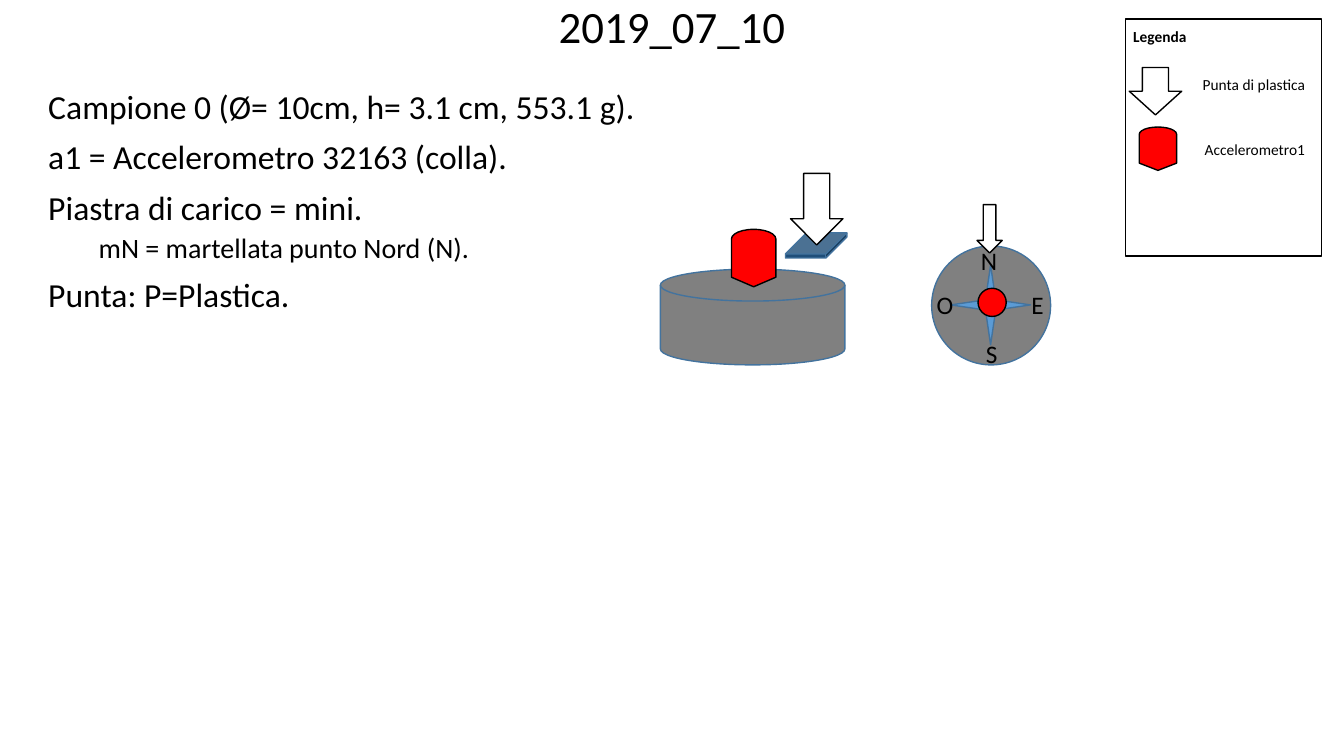
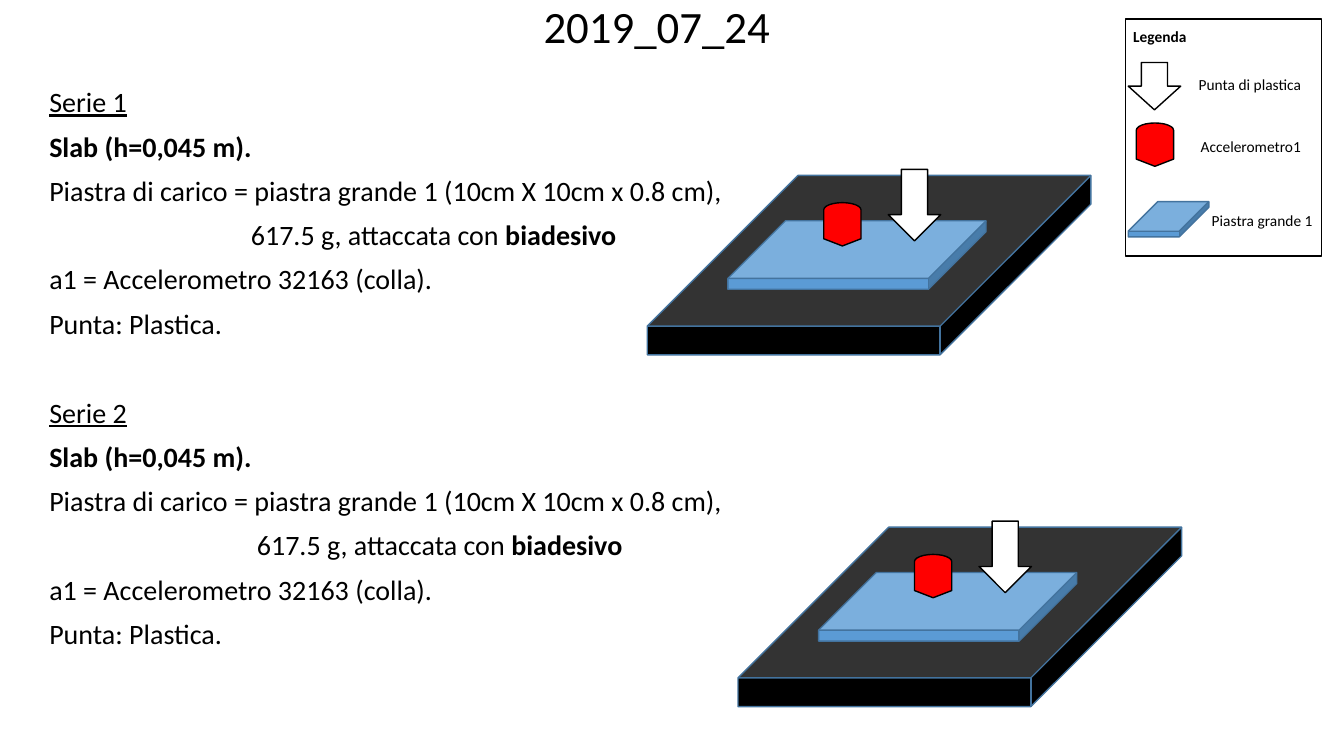
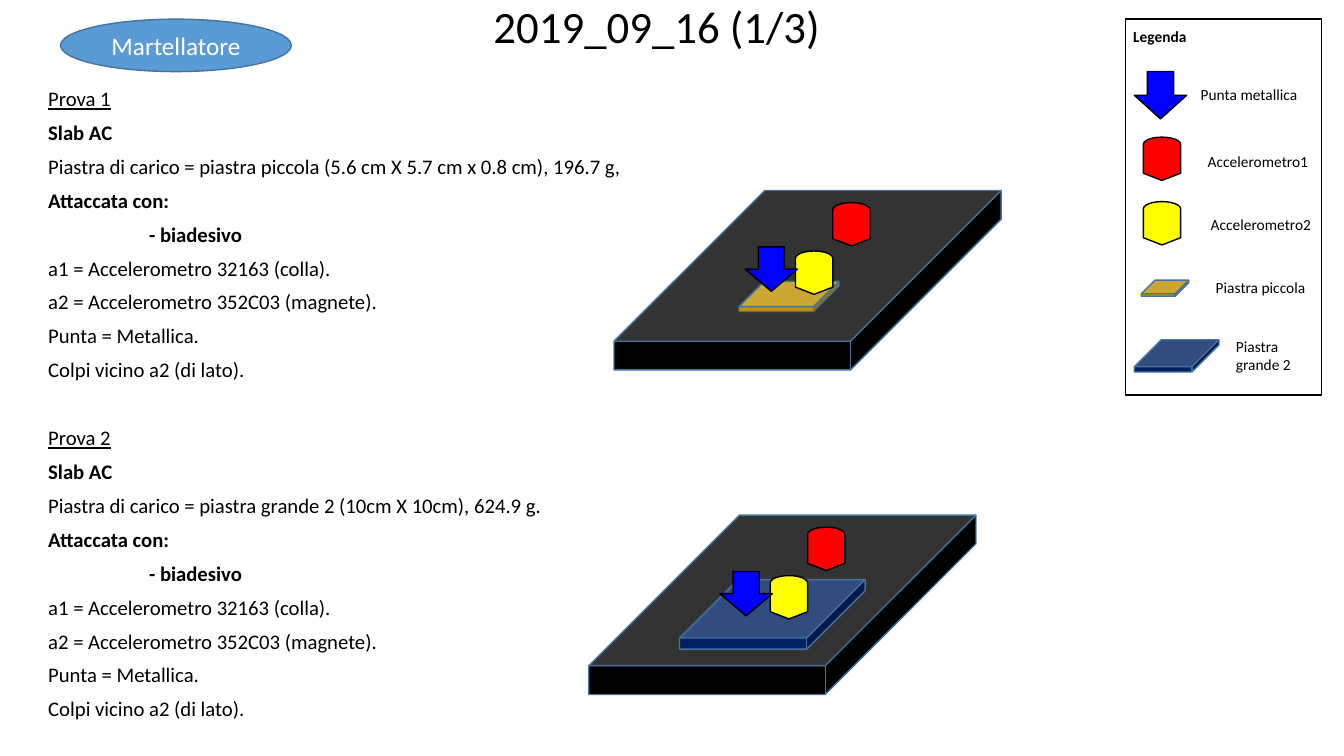
from pptx import Presentation
from pptx.dml.color import RGBColor
from pptx.enum import shapes, text
from pptx.util import Emu, Pt

PX = 9144
FONT = "Calibri"
HEX = dict(white="FFFFFF", black="000000", grey="808080", edge="43739E",
           sky="5B9BD5", steel="1F4E79", navy="002060", gold="BF9000",
           red="FF0000", yellow="FFFF00", blue="0000FF")
M = shapes.MSO_SHAPE
FORMS = dict(cube=(M.CUBE, "edge", 0.84, 0), arrow=(M.DOWN_ARROW, "black", None, 0),
             gauge=(M.FLOWCHART_DISPLAY, "black", None, 270),
             disk=(M.FLOWCHART_MAGNETIC_DISK, "edge", None, 0),
             oval=(M.OVAL, "edge", None, 0), star=(M.STAR_4_POINT, "edge", 0.091, 0),
             dot=(M.FLOWCHART_CONNECTOR, "black", None, 0),
             frame=(M.RECTANGLE, "black", None, 0))

SAMPLE = [("Campione 0 (Ø= 10cm, h= 3.1 cm, 553.1 g).", {}),
          ("a1 = Accelerometro 32163 (colla).", {}),
          ("Piastra di carico = mini.", {}),
          ("mN = martellata punto Nord (N).", dict(indent=50, before=5, size=20)),
          ("Punta: P=Plastica.", {})]

SERIES = [line for n, indent, gap in ((1, 200, 10), (2, 206, 42)) for line in (
    (f"Serie {n}", dict(under=True, before=gap)),
    ("Slab (h=0,045 m).", dict(bold=True)),
    ("Piastra di carico = piastra grande 1 (10cm X 10cm x 0.8 cm),", {}),
    ("617.5 g, attaccata con ", dict(tail="biadesivo", indent=indent)),
    ("a1 = Accelerometro 32163 (colla).", {}),
    ("Punta: Plastica.", {}))]

TESTS = [line for n, plate, gap in (
    (1, "piccola (5.6 cm X 5.7 cm x 0.8 cm), 196.7 g,", 10),
    (2, "grande 2 (10cm X 10cm), 624.9 g.", 34.4)) for line in (
    (f"Prova {n}", dict(under=True, before=gap)),
    ("Slab AC", dict(bold=True)),
    (f"Piastra di carico = piastra {plate}", {}),
    ("Attaccata con:", dict(bold=True)),
    ("- biadesivo", dict(bold=True, indent=100)),
    ("a1 = Accelerometro 32163 (colla).", {}),
    ("a2 = Accelerometro 352C03 (magnete).", {}),
    ("Punta = Metallica.", {}),
    ("Colpi vicino a2 (di lato).", {}))]

RIG = [("disk", 655, 267, 183, 95, "grey"), ("cube", 779, 231, 61, 25, "steel"),
       ("arrow", 784, 172, 52, 71, "white"), ("oval", 924, 244, 118, 118, "grey"),
       ("star", 943, 263, 79, 79, "sky"), ("arrow", 969, 203, 25, 48, "white"),
       ("gauge", 719, 234, 57, 44, "red"), ("dot", 970, 286, 28, 28, "red")]
COMPASS = [("N", 963, 238), ("O", 919, 282), ("E", 1013, 282), ("S", 968, 331)]

SLAB = [("cube", 0, 0, 440, 178, "black"), ("cube", 80, 45, 256, 68, "sky"),
        ("arrow", 239, -6, 52, 71, "white"), ("gauge", 172, 30, 43, 37, "red")]


def bench(plate):
    return [("cube", 0, 0, 384, 178, "black"), plate,
            ("gauge", 177, 63, 43, 37, "yellow"), ("arrow", 130, 56, 52, 44, "blue"),
            ("gauge", 214, 15, 43, 37, "red")]


SMALL = bench(("cube", 124, 90, 99, 30, "gold"))
LARGE = bench(("cube", 90, 64, 184, 69, "navy"))

KEY1 = [(("arrow", 1120, 67, 52, 47, "white"), "Punta di plastica", 1183, 70, 130),
        (("gauge", 1127, 129, 43, 37, "red"), "Accelerometro1", 1185, 134, 130)]
KEY2 = [(("arrow", 1119, 62, 52, 47, "white"), "Punta di plastica", 1179, 70, 130),
        (("gauge", 1124, 125, 43, 37, "red"), "Accelerometro1", 1181, 131, 130),
        (("cube", 1119, 200, 80, 35, "sky"), "Piastra grande 1", 1192, 205, 130)]
KEY3 = [(("arrow", 1125, 71, 52, 47, "blue"), "Punta metallica", 1181, 80, 130),
        (("gauge", 1131, 139, 43, 37, "red"), "Accelerometro1", 1188, 146, 130),
        (("gauge", 1131, 203, 43, 37, "yellow"), "Accelerometro2", 1191, 208, 130),
        (("cube", 1132, 278, 47, 16, "gold"), "Piastra piccola", 1196, 271, 117),
        (("cube", 1125, 337, 84, 32, "navy"), "Piastra grande 2", 1216, 329, 90)]

SLIDES = [
    dict(title="2019_07_10", width=1333, body=SAMPLE, left=38, top=85, size=24,
         pitch=0.9, scenes=[(0, 0, RIG)], marks=COMPASS, key=KEY1, high=235),
    dict(title="2019_07_24", width=1303, body=SERIES, left=39, top=83, size=20,
         pitch=0.9, scenes=[(642, 174, SLAB), (732, 523, SLAB)], key=KEY2, high=235),
    dict(title="2019_09_16 (1/3)", width=1303, body=TESTS, left=38, top=85, size=14.8,
         pitch=0.8, scenes=[(609, 189, SMALL), (584, 511, LARGE)], key=KEY3, high=373,
         badge="Martellatore")]


def rgb(name):
    return RGBColor.from_string(HEX[name])


def span(*sizes):
    return [Emu(n * PX) for n in sizes]


def write(frame, lines, size=11, color="black", align="LEFT", pitch=1, bold=False,
          anchor="TOP"):
    frame.word_wrap = True
    frame.vertical_anchor = getattr(text.MSO_ANCHOR, anchor)
    for i, (words, fmt) in enumerate(lines):
        para = frame.add_paragraph() if i else frame.paragraphs[0]
        para.alignment = getattr(text.PP_ALIGN, align)
        para.line_spacing = pitch
        para.space_before = Pt(fmt.get("before", 10) if i else 0)
        if "indent" in fmt:
            para._p.get_or_add_pPr().set("marL", str(fmt["indent"] * PX))
        runs = [(words, fmt.get("bold", bold))]
        if "tail" in fmt:
            runs.append((fmt["tail"], True))
        for part, heavy in runs:
            run = para.add_run()
            run.text = part
            font = run.font
            font.name, font.size = FONT, Pt(fmt.get("size", size))
            font.bold, font.underline = heavy, fmt.get("under", False)
            font.color.rgb = rgb(color)


def label(slide, box, lines, **fmt):
    if isinstance(lines, str):
        lines = [(lines, {})]
    write(slide.shapes.add_textbox(*span(*box)).text_frame, lines, **fmt)


def draw(slide, form, x, y, w, h, fill=None):
    kind, edge, adj, turn = FORMS[form]
    shape = slide.shapes.add_shape(kind, *span(x, y, w, h))
    shape.shadow.inherit = False
    shape.rotation = turn
    if adj:
        shape.adjustments[0] = adj
    if fill:
        shape.fill.solid()
        shape.fill.fore_color.rgb = rgb(fill)
    else:
        shape.fill.background()
    shape.line.color.rgb = rgb(edge)
    shape.line.width = Pt(1)
    return shape


def legend(slide, items, high):
    draw(slide, "frame", 1116, 19, 195, high)
    label(slide, (1114, 22, 130, 29), "Legenda", bold=True)
    for icon, name, x, y, w in items:
        draw(slide, *icon)
        label(slide, (x, y, w, 29), name)


def build(deck, data):
    slide = deck.slides.add_slide(deck.slide_layouts[6])
    label(slide, (0, 0, data["width"], 85), data["title"], size=32, align="CENTER",
          pitch=0.9)
    label(slide, (data["left"], data["top"], 1259, 652), data["body"],
          size=data["size"], pitch=data["pitch"])
    for left, top, parts in data["scenes"]:
        for form, x, y, *rest in parts:
            draw(slide, form, left + x, top + y, *rest)
    for mark, x, y in data.get("marks", []):
        label(slide, (x, y, 39, 40), mark, size=18)
    legend(slide, data["key"], data["high"])
    if "badge" in data:
        oval = draw(slide, "oval", 60, 19, 229, 52, "sky")
        write(oval.text_frame, [(data["badge"], {})], size=18, color="white",
              align="CENTER", anchor="MIDDLE")


def main():
    deck = Presentation()
    deck.slide_width, deck.slide_height = span(1333, 750)
    for data in SLIDES:
        build(deck, data)
    deck.save("out.pptx")


if __name__ == "__main__":
    main()
